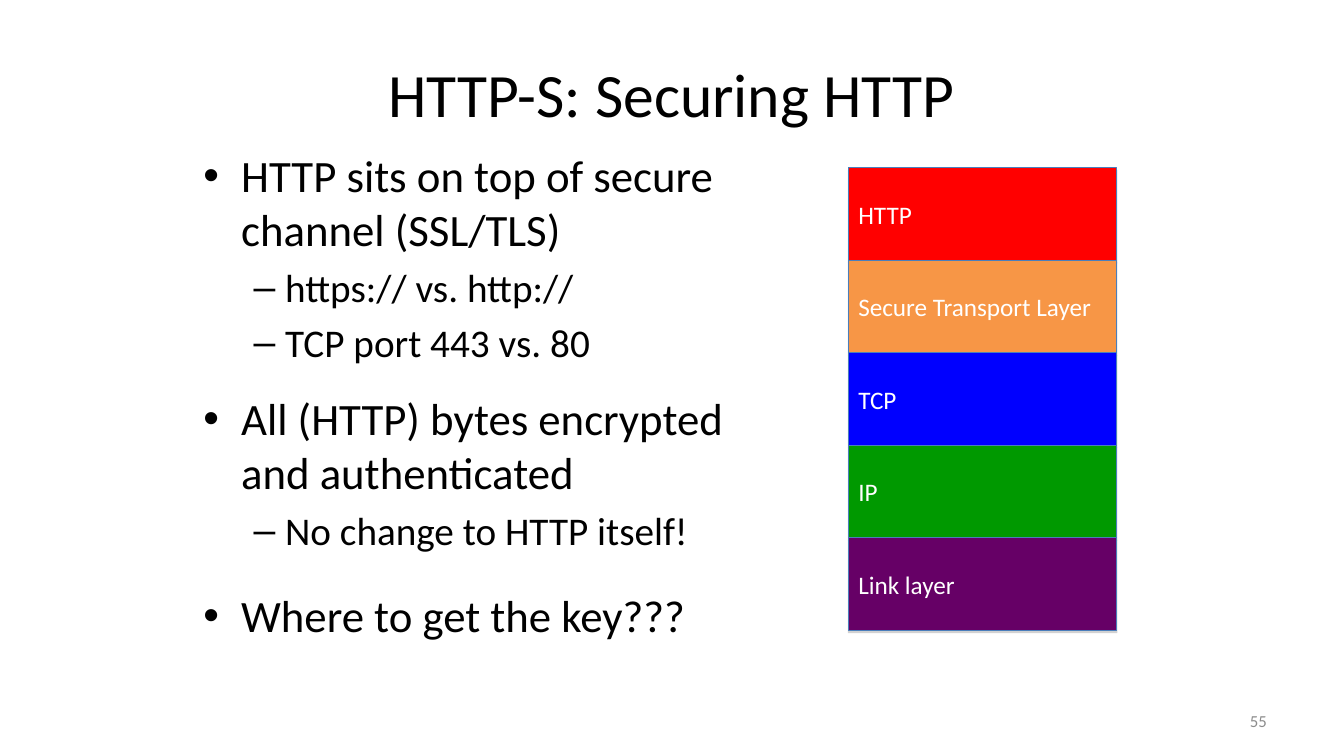
from lxml.etree import SubElement
from pptx import Presentation
from pptx.dml.color import RGBColor
from pptx.enum.shapes import MSO_SHAPE
from pptx.enum.text import MSO_ANCHOR, MSO_AUTO_SIZE, PP_ALIGN
from pptx.oxml.ns import qn
from pptx.util import Cm, Pt

FONT = "Calibri"
LEVEL_SIZES = (32, 28)
BULLETS = [  # text, level, points of space after
    ("HTTP sits on top of secure channel (SSL/TLS)", 0, 0),
    ("https:// vs. http://", 1, 0),
    ("TCP port 443 vs. 80", 1, 12),
    ("All (HTTP) bytes encrypted and authenticated", 0, 0),
    ("No change to HTTP itself!", 1, 18),
    ("Where to get the key???", 0, 0),
]
LAYERS = [
    ("HTTP", "FF0000"),
    ("Secure Transport Layer", "F79646"),
    ("TCP", "0000FF"),
    ("IP", "009900"),
    ("Link layer", "660066"),
]
STACK_LEFT, STACK_TOP = 21.38, 4.23
LAYER_WIDTH, LAYER_HEIGHT = 6.77, 2.33


def color(hex_value):
    return RGBColor.from_string(hex_value)


def set_attributes(target, values):
    for name, value in values.items():
        setattr(target, name, value)


def place(shape, left, top, width, height):
    set_attributes(shape, {"left": Cm(left), "top": Cm(top),
                           "width": Cm(width), "height": Cm(height)})


def write(paragraph, text, size, hex_value="000000", **paragraph_format):
    paragraph.text = text
    set_attributes(paragraph, paragraph_format)
    set_attributes(paragraph.font, {"name": FONT, "size": Pt(size)})
    paragraph.font.color.rgb = color(hex_value)


def set_frame(shape, anchor):
    set_attributes(shape.text_frame, {
        "word_wrap": True, "auto_size": MSO_AUTO_SIZE.NONE,
        "vertical_anchor": anchor})
    return shape.text_frame


def add_title(slide, text):
    title = slide.shapes.title
    place(title, 1.69, 0.76, 30.48, 3.18)
    frame = set_frame(title, MSO_ANCHOR.MIDDLE)
    write(frame.paragraphs[0], text, 44, alignment=PP_ALIGN.CENTER)


def add_bullets(slide):
    body = slide.placeholders[1]
    place(body, 4.87, 3.6, 15.03, 14.82)
    frame = set_frame(body, MSO_ANCHOR.TOP)
    for index, (text, level, space_after) in enumerate(BULLETS):
        paragraph = frame.add_paragraph() if index else frame.paragraphs[0]
        size = LEVEL_SIZES[level]
        write(paragraph, text, size, level=level,
              space_before=Pt(size * 0.2 if index else 0),
              space_after=Pt(space_after))


def add_drop_shadow(shape):
    effects = SubElement(shape.fill._xPr, qn("a:effectLst"))
    shadow = SubElement(effects, qn("a:outerShdw"), dist=str(Pt(1.8)),
                        dir="5400000", rotWithShape="0")
    tint = SubElement(shadow, qn("a:srgbClr"), val="808080")
    SubElement(tint, qn("a:alpha"), val="35000")


def add_layer(slide, index, text, fill):
    top = STACK_TOP + index * LAYER_HEIGHT
    layer = slide.shapes.add_shape(
        MSO_SHAPE.RECTANGLE, Cm(STACK_LEFT), Cm(top),
        Cm(LAYER_WIDTH), Cm(LAYER_HEIGHT))
    layer.fill.solid()
    layer.fill.fore_color.rgb = color(fill)
    layer.line.color.rgb = color("4A7EBB")
    layer.line.width = Pt(0.75)
    add_drop_shadow(layer)
    frame = set_frame(layer, MSO_ANCHOR.MIDDLE)
    write(frame.paragraphs[0], text, 18, "FFFFFF", alignment=PP_ALIGN.LEFT)


def add_slide_number(slide, number):
    box = slide.shapes.add_textbox(Cm(24.28), Cm(17.65), Cm(7.9), Cm(1.02))
    frame = set_frame(box, MSO_ANCHOR.MIDDLE)
    write(frame.paragraphs[0], number, 12, "8C8C8C", alignment=PP_ALIGN.RIGHT)


def main():
    presentation = Presentation()
    set_attributes(presentation, {"slide_width": Cm(33.87),
                                  "slide_height": Cm(19.05)})
    slide = presentation.slides.add_slide(presentation.slide_layouts[1])
    add_title(slide, "HTTP-S: Securing HTTP")
    add_bullets(slide)
    add_slide_number(slide, "55")
    for index, (text, fill) in enumerate(LAYERS):
        add_layer(slide, index, text, fill)
    presentation.save("out.pptx")


if __name__ == "__main__":
    main()
